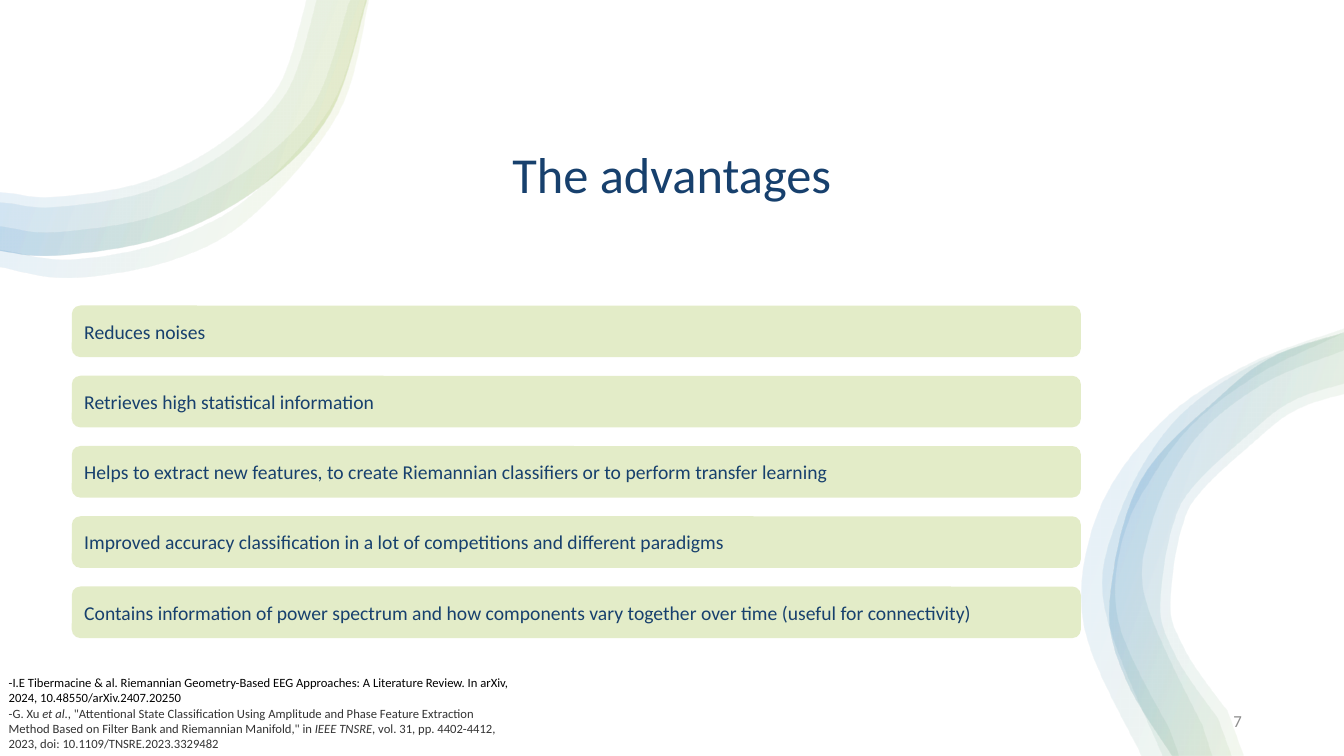
from math import hypot

from lxml.etree import SubElement
from pptx import Presentation
from pptx.dml.color import RGBColor
from pptx.enum.shapes import MSO_SHAPE
from pptx.enum.text import MSO_ANCHOR, PP_ALIGN
from pptx.oxml.ns import qn
from pptx.util import Cm, Pt

# Content
TITLE = "The advantages"
ADVANTAGES = [
    "Reduces noises",
    "Retrieves high statistical information",
    "Helps to extract new features, to create Riemannian classifiers or to perform transfer learning",
    "Improved accuracy classification in a lot of competitions and different paradigms",
    "Contains information of power spectrum and how components vary together over time (useful for connectivity)",
]
# Each reference is a colour and a list of (text, italic)
REFERENCES = [
    ("000000", [("-I.E Tibermacine & al. Riemannian Geometry-Based EEG Approaches: A Literature Review. "
                 "In arXiv, 2024, 10.48550/arXiv.2407.20250", False)]),
    ("333333", [("-G. Xu ", False), ("et al", True),
                ("., \"Attentional State Classification Using Amplitude and Phase Feature Extraction "
                 "Method Based on Filter Bank and Riemannian Manifold,\" in ", False),
                ("IEEE TNSRE", True),
                (", vol. 31, pp. 4402-4412, 2023, doi: 10.1109/TNSRE.2023.3329482", False)]),
]
PAGE_NUMBER = "7"
NAVY, GREEN, GREY = "17406D", "C9DA92", "8C8C8C"
RIBBON_STOPS = [(2, "FFFFFF"), (16, "A5C249"), (85, "0F6FC6"), (100, "FFFFFF")]

# Outer ribbon edges in inches, and ribbon widths at start, middle and end
CORNER = [(3.64, 0), (3.28, 1.12), (2.57, 1.86), (1.62, 2.35), (.56, 2.53), (0, 2.48)]
CORNER_WIDE = [(3.66, 0), (3.36, 1.12), (2.51, 2.13), (1.72, 2.57), (.71, 2.75), (0, 2.64)]
SIDE = [(11.63, 7.5), (11.17, 6.74), (11.01, 5.98), (11.31, 4.78), (12.13, 3.91),
        (12.67, 3.52), (13.34, 3.3)]
SIDE_MIDDLE = [(11.54, 7.5), (10.97, 6.05), (11.1, 5.13), (11.63, 4.21), (12.43, 3.62), (13.34, 3.3)]
SIDE_WIDE = [(11.33, 7.5), (10.76, 6.22), (10.89, 5.1), (11.52, 4.19), (12.39, 3.61), (13.34, 3.26)]
RIBBONS = [
    (CORNER, (.58, .58, .58)),
    (CORNER, (.48, .48, .48)),
    (CORNER, (.16, .22, .24)),
    (CORNER_WIDE, (.03, .2, .17)),
    (SIDE_WIDE, (.37, .3, .03)),
    (SIDE_MIDDLE, (.49, .3, .16)),
    (SIDE, (.59, .46, .49)),
    (SIDE, (.71, .55, .59)),
]


def color(hex_string):
    return RGBColor.from_string(hex_string)


def add_text(p, text, size=14, fill=NAVY, italic=False, align=PP_ALIGN.LEFT):
    p.alignment = align
    r = p.add_run()
    r.text = text
    r.font.name = "Calibri"
    r.font.size = Pt(size)
    r.font.italic = italic
    r.font.color.rgb = color(fill)


def set_alpha(clr, percent):
    SubElement(clr, qn("a:alpha")).set("val", str(percent * 1000))


def smooth(knots, steps=8):
    """Catmull-Rom curve through the knots."""
    padded = [knots[0], *knots, knots[-1]]
    points = []
    for a, b, c, d in zip(padded, padded[1:], padded[2:], padded[3:]):
        for t in (i / steps for i in range(steps)):
            points.append(tuple(
                b[k] + t * (c[k] - a[k]) / 2
                + t ** 2 * (2 * a[k] - 5 * b[k] + 4 * c[k] - d[k]) / 2
                + t ** 3 * (3 * b[k] - a[k] - 3 * c[k] + d[k]) / 2 for k in (0, 1)))
    return points + [knots[-1]]


def inner_edge(points, widths):
    """Shift the curve inwards; both ends slide along the slide border."""
    start, middle, end = widths
    last = len(points) - 1
    inner = []
    for i, (x, y) in enumerate(points):
        (x0, y0), (x1, y1) = points[max(i - 1, 0)], points[min(i + 1, last)]
        nx, ny = y0 - y1, x1 - x0
        if i in (0, last):
            nx, ny = (nx, 0) if abs(nx) > abs(ny) else (0, ny)
        t = 2 * i / last
        width = start + (middle - start) * t if t < 1 else middle + (end - middle) * (t - 1)
        length = hypot(nx, ny)
        inner.append((x + width * nx / length, y + width * ny / length))
    return inner


def add_ribbon(s, edge, widths):
    outer = smooth(edge)
    outline = outer + inner_edge(outer, widths)[::-1]
    points = [(x * 2540, y * 2540) for x, y in outline]
    builder = s.shapes.build_freeform(*points[0], scale=Cm(1) / 1000)
    builder.add_line_segments(points[1:], close=True)
    sp = builder.convert_to_shape()
    sp.shadow.inherit = False
    sp.line.fill.background()
    sp.fill.gradient()
    grad = sp.fill._xPr.find(qn("a:gradFill"))
    stops = grad.find(qn("a:gsLst"))
    for stop in list(stops):
        stops.remove(stop)
    for pos, hex_string in RIBBON_STOPS:
        stop = SubElement(stops, qn("a:gs"), pos=str(pos * 1000))
        set_alpha(SubElement(stop, qn("a:srgbClr"), val=hex_string), 10)
    grad.find(qn("a:lin")).set("ang", str(200 * 60000))


def add_bar(s, text, top):
    sp = s.shapes.add_shape(MSO_SHAPE.ROUNDED_RECTANGLE, Cm(1.81), Cm(top), Cm(25.43), Cm(1.3))
    sp.shadow.inherit = False
    sp.line.fill.background()
    sp.fill.solid()
    sp.fill.fore_color.rgb = color(GREEN)
    set_alpha(sp.fill._xPr.find(qn("a:solidFill"))[0], 50)
    tf = sp.text_frame
    tf.vertical_anchor = MSO_ANCHOR.MIDDLE
    add_text(tf.paragraphs[0], text)


def add_box(s, left, top, width, height):
    tf = s.shapes.add_textbox(Cm(left), Cm(top), Cm(width), Cm(height)).text_frame
    tf.word_wrap = True
    return tf


def main():
    prs = Presentation()
    prs.slide_width, prs.slide_height = Cm(33.87), Cm(19.05)
    s = prs.slides.add_slide(prs.slide_layouts[5])

    # Title
    title = s.shapes.title
    title.left, title.top, title.width, title.height = Cm(3.28), Cm(1.6), Cm(27.3), Cm(3.68)
    title.text_frame.vertical_anchor = MSO_ANCHOR.BOTTOM
    p = title.text_frame.paragraphs[0]
    p.line_spacing = 0.9
    add_text(p, TITLE, size=36, align=PP_ALIGN.CENTER)

    # Decorative ribbons
    for edge, widths in RIBBONS:
        add_ribbon(s, edge, widths)

    # Advantage bars
    for i, text in enumerate(ADVANTAGES):
        add_bar(s, text, 7.7 + i * 1.77)

    # References
    tf = add_box(s, -0.03, 16.89, 13.08, 2.18)
    for i, (fill, parts) in enumerate(REFERENCES):
        p = tf.add_paragraph() if i else tf.paragraphs[0]
        for text, italic in parts:
            add_text(p, text, size=9, fill=fill, italic=italic)

    # Page number
    tf = add_box(s, 23.93, 17.65, 7.62, 1.02)
    tf.vertical_anchor = MSO_ANCHOR.MIDDLE
    add_text(tf.paragraphs[0], PAGE_NUMBER, size=12, fill=GREY, align=PP_ALIGN.RIGHT)

    prs.save("out.pptx")


if __name__ == "__main__":
    main()
